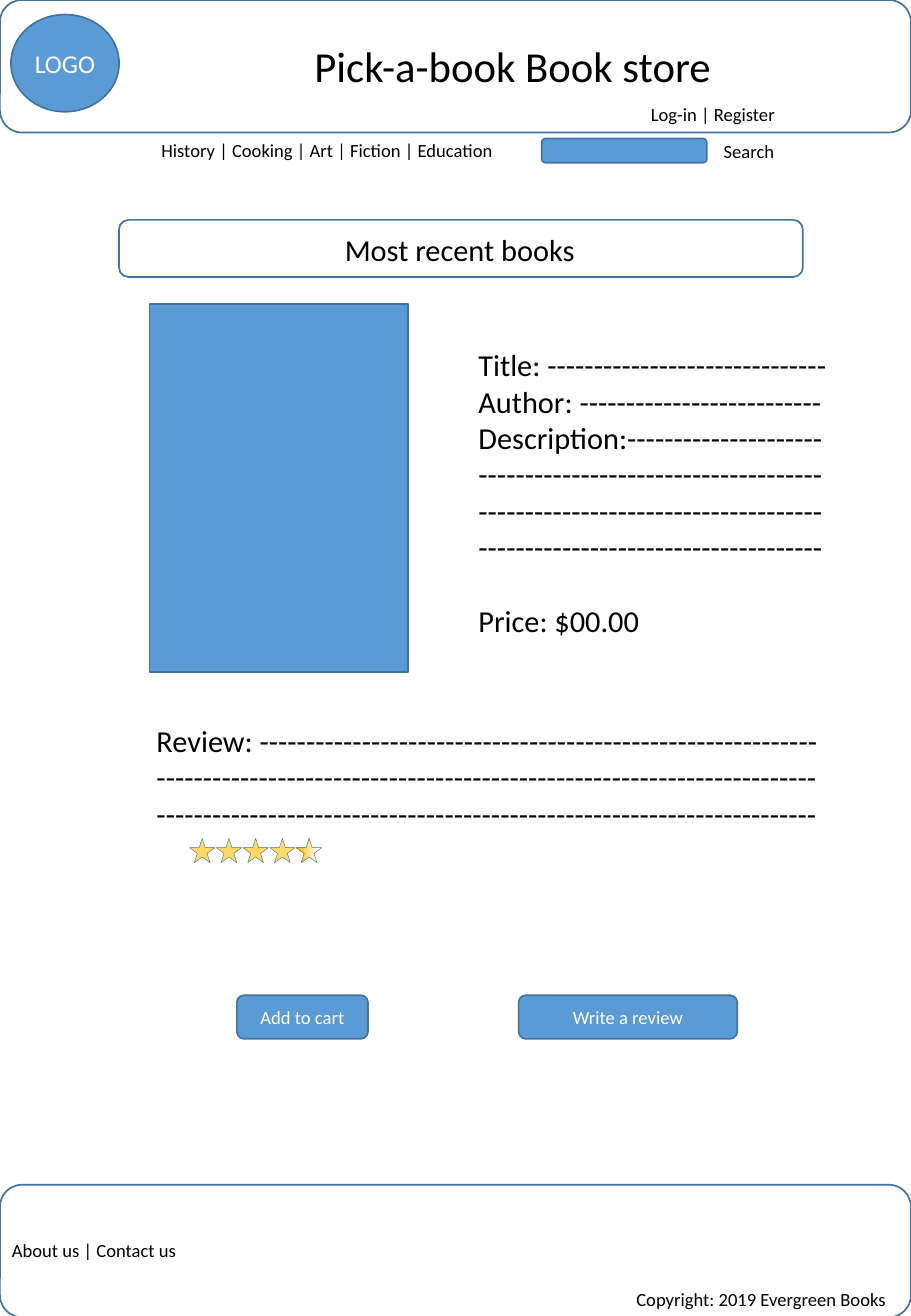
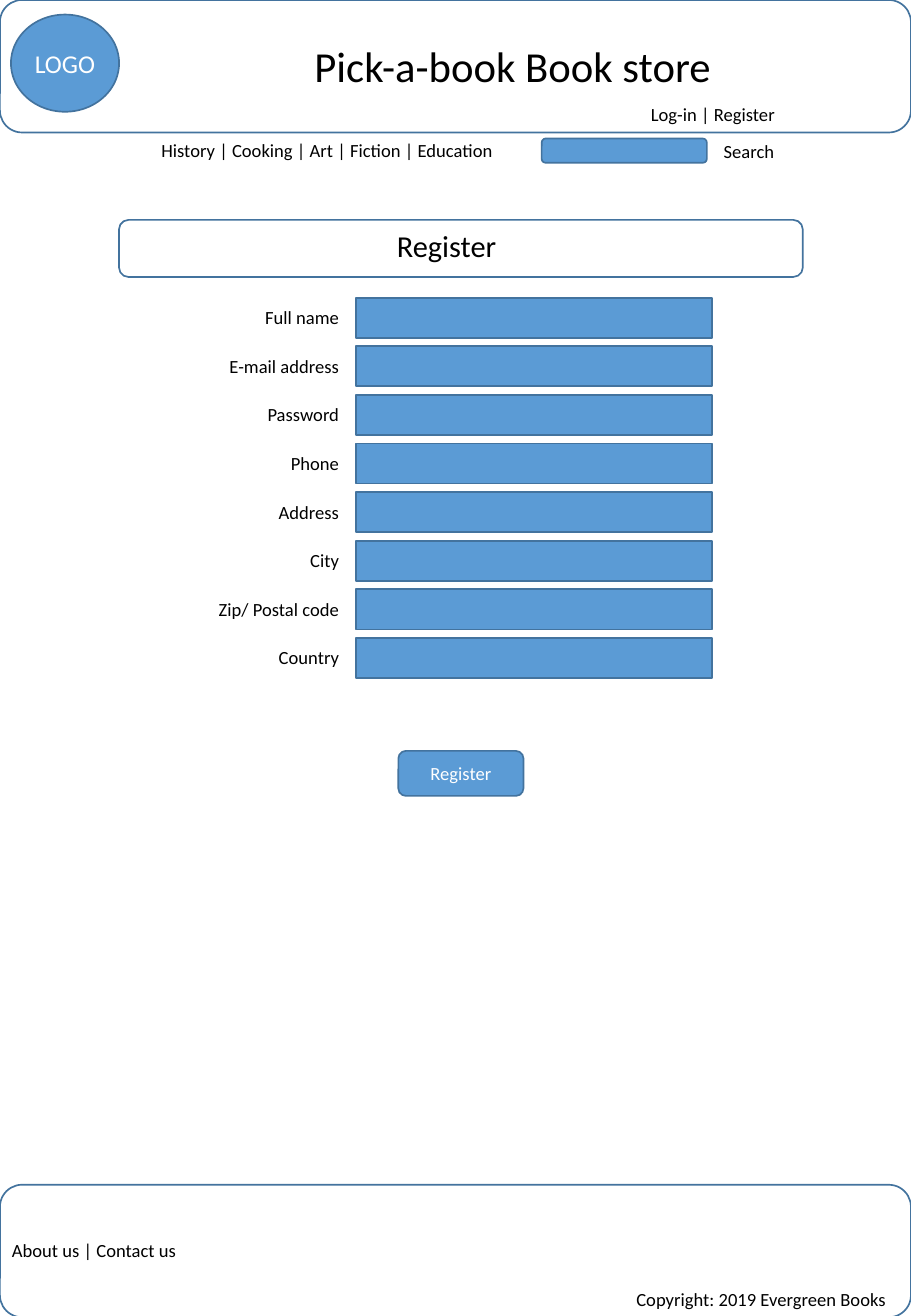
import pptx
import pptx.util
import pptx.dml.color
import pptx.enum.shapes
import pptx.enum.text

PX = 9144
FONT = "Calibri"
COLORS = {
    "blue": "5B9BD5",
    "edge": "43739E",
    "gold": "FFD966",
    "amber": "FFC000",
    "pale": "F7FAFD",
    "black": "000000",
    "white": "FFFFFF",
}
RGB = {name: pptx.dml.color.RGBColor.from_string(value) for name, value in COLORS.items()}
SHAPE = pptx.enum.shapes.MSO_SHAPE
ALIGN = pptx.enum.text.PP_ALIGN


def add_box(s, kind, x, y, w, h, fill=None, line=1):
    sp = s.shapes.add_shape(kind, x * PX, y * PX, w * PX, h * PX)
    sp.shadow.inherit = False
    if fill:
        sp.fill.solid()
        sp.fill.fore_color.rgb = RGB[fill]
    else:
        sp.fill.background()
    sp.line.color.rgb = RGB["edge"]
    sp.line.width = pptx.util.Pt(line)
    return sp


def add_text(s, text, x=0, y=0, w=0, h=29, size=11, color="black",
             align=ALIGN.LEFT, wrap=False, sp=None):
    if sp is None:
        sp = s.shapes.add_textbox(x * PX, y * PX, w * PX, h * PX)
        tf = sp.text_frame
        tf.word_wrap = wrap
        tf.auto_size = pptx.enum.text.MSO_AUTO_SIZE.SHAPE_TO_FIT_TEXT
    else:
        tf = sp.text_frame
        tf.margin_left = tf.margin_right = 4 * PX
        tf.margin_top = tf.margin_bottom = 2 * PX
        tf.vertical_anchor = pptx.enum.text.MSO_ANCHOR.MIDDLE
    for i, part in enumerate(text.split("\n")):
        p = tf.add_paragraph() if i else tf.paragraphs[0]
        p.alignment = align
        r = p.add_run()
        r.text = part
        r.font.name = FONT
        r.font.size = pptx.util.Pt(size)
        r.font.color.rgb = RGB[color]
    return tf


prs = pptx.Presentation()
prs.slide_width = 750 * PX
prs.slide_height = 1083 * PX

pages = [
    {
        "heading": ("Most recent books", 274, 185, 211, 40),
        "buttons": [("Add to cart", 195, 819, 108, 36), ("Write a review", 427, 819, 180, 36)],
    },
    {
        "heading": ("Register", 317, 182, 103, 40),
        "buttons": [("Register", 328, 618, 103, 37)],
    },
]

slides = []
for page in pages:
    s = prs.slides.add_slide(prs.slide_layouts[6])
    slides.append(s)
    for y in (0, 975):
        add_box(s, SHAPE.ROUNDED_RECTANGLE, 0, y, 750, 109)
    logo = add_box(s, SHAPE.OVAL, 9, 12, 89, 80, fill="blue")
    add_text(s, "LOGO", size=15.2, color="white", align=ALIGN.CENTER, sp=logo)
    add_text(s, "Pick-a-book Book store", 249, 28, 351, 53, size=25.3)
    for text, x, y, w in [
        ("Log-in | Register", 526, 80, 123),
        ("History | Cooking | Art | Fiction | Education", 123, 109, 308),
        ("Search", 586, 110, 63),
        ("About us | Contact us", 0, 1015, 156),
        ("Copyright: 2019 Evergreen Books", 514, 1055, 228),
    ]:
        add_text(s, text, x, y, w)
    add_box(s, SHAPE.ROUNDED_RECTANGLE, 446, 114, 136, 20, fill="blue")
    add_box(s, SHAPE.ROUNDED_RECTANGLE, 98, 181, 563, 47)
    add_text(s, *page["heading"], size=18)
    for text, x, y, w, h in page["buttons"]:
        button = add_box(s, SHAPE.ROUNDED_RECTANGLE, x, y, w, h, fill="blue")
        add_text(s, text, color="white", align=ALIGN.CENTER, sp=button)

books, register = slides

add_box(books, SHAPE.RECTANGLE, 123, 250, 213, 303, fill="blue")
details = ["Title: " + "-" * 30, "Author: " + "-" * 26, "Description:" + "-" * 21]
details += ["-" * 37] * 3 + ["Price: $00.00"]
tf = add_text(books, "\n".join(details), 384, 280, 309, 252, size=18)
tf.paragraphs[-1].space_before = pptx.util.Pt(22)
review = ["Review: " + "-" * 60] + ["-" * 71] * 2
add_text(books, "\n".join(review), 119, 589, 576, 101, size=18)

for i in range(5):
    star = add_box(books, SHAPE.STAR_5_POINT, 156 + 22 * i, 690, 21, 20, fill="gold", line=0.25)
star.fill.gradient()
star.fill.gradient_angle = 180
for stop, (position, color) in zip(star.fill.gradient_stops, [(0.2, "pale"), (0.93, "amber")]):
    stop.position = position
    stop.color.rgb = RGB[color]

fields = ["Full name", "E-mail address", "Password", "Phone",
          "Address", "City", "Zip/ Postal code", "Country"]
for i, field in enumerate(fields):
    y = 245 + 40 * i
    add_box(register, SHAPE.RECTANGLE, 293, y, 293, 33, fill="blue")
    add_text(register, field, 149, y + 2, 140, align=ALIGN.RIGHT, wrap=True)

prs.save("out.pptx")
